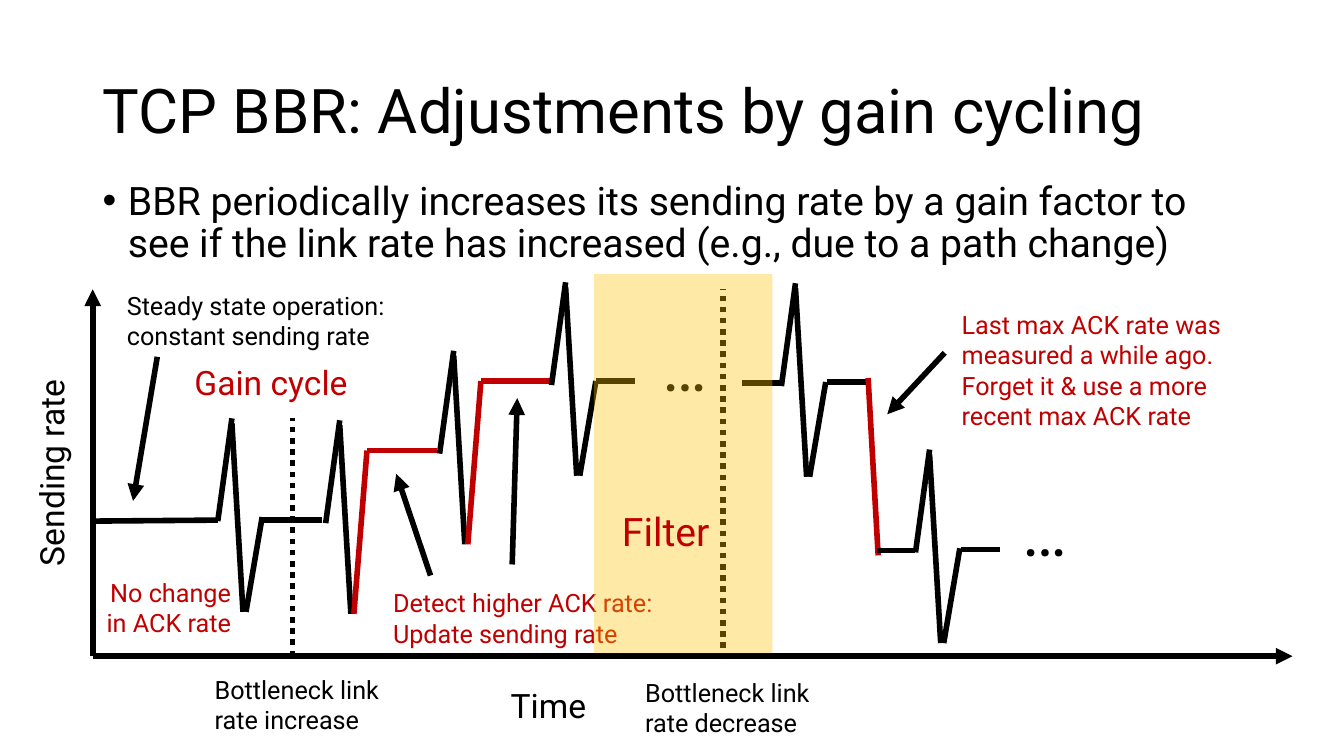
from dataclasses import dataclass

import pptx
import pptx.dml.color
import pptx.enum.dml
import pptx.enum.shapes
import pptx.enum.text
import pptx.oxml
import pptx.oxml.ns
import pptx.util

PX = 9144  # 100 px to the inch
FONT = "Roboto"
HEX = {"ink": "000000", "red": "C00000", "gold": "FFC000"}
ALIGN = pptx.enum.text.PP_ALIGN
ANCHOR = pptx.enum.text.MSO_ANCHOR


@dataclass
class Line:
    x1: int
    y1: int
    x2: int
    y2: int
    color: str = "ink"
    arrow: bool = False
    dots: bool = False


@dataclass
class Label:
    text: str
    x: int
    y: int
    w: int
    h: int
    size: int = 18
    color: str = "ink"
    align: ALIGN = ALIGN.LEFT
    turn: int = 0


@dataclass
class Spike:
    x: int
    y: int
    gain: bool = False  # the rate climbs to a higher level


def rgb(name: str) -> pptx.dml.color.RGBColor:
    return pptx.dml.color.RGBColor.from_string(HEX[name])


def add_xml(parent, tag: str, **attrs: str):
    node = pptx.oxml.parse_xml(f"<a:{tag} {pptx.oxml.ns.nsdecls('a')}/>")
    for key, value in attrs.items():
        node.set(key, value)
    parent.append(node)
    return node


def style(para, size: int, color: str, align: ALIGN = ALIGN.LEFT) -> None:
    para.alignment = align
    para.font.name = FONT
    para.font.size = pptx.util.Pt(size)
    para.font.color.rgb = rgb(color)


def draw_line(slide, item: Line) -> None:
    ends = (v * PX for v in (item.x1, item.y1, item.x2, item.y2))
    kind = pptx.enum.shapes.MSO_CONNECTOR.STRAIGHT
    line = slide.shapes.add_connector(kind, *ends)
    line.line.color.rgb = rgb(item.color)
    line.line.width = pptx.util.Pt(4)
    if item.dots:
        line.line.dash_style = pptx.enum.dml.MSO_LINE.ROUND_DOT
    if item.arrow:
        add_xml(line.line._get_or_add_ln(), "tailEnd", type="triangle")
    add_xml(line._element.spPr, "effectLst")


def draw_spike(slide, item: Spike) -> None:
    x, y = item.x, item.y
    draw_line(slide, Line(x, y, x + 14, y - 102))
    draw_line(slide, Line(x + 25, y + 90, x + 14, y - 97))
    if item.gain:
        draw_line(slide, Line(x + 28, y + 90, x + 41, y - 72, "red"))
        draw_line(slide, Line(x + 41, y - 72, x + 110, y - 72, "red"))
    else:
        draw_line(slide, Line(x + 28, y + 90, x + 44, y - 4))


def draw_label(slide, item: Label):
    box = slide.shapes.add_textbox(*(v * PX for v in (item.x, item.y, item.w, item.h)))
    box.rotation = item.turn
    box.text_frame.word_wrap = True
    box.text_frame.text = item.text
    for para in box.text_frame.paragraphs:
        style(para, item.size, item.color, item.align)
    return box


AXES = [
    Line(92, 651, 92, 287, arrow=True),
    Line(92, 651, 1282, 651, arrow=True),
]
SPIKES = [
    Spike(216, 517), Spike(323, 519, True), Spike(436, 450, True),
    Spike(547, 382), Spike(775, 383), Spike(908, 548),
]
LEVELS = [
    Line(92, 517, 216, 516), Line(261, 516, 319, 516),
    Line(591, 378, 630, 378), Line(736, 380, 775, 380),
    Line(820, 379, 859, 379), Line(871, 551, 861, 375, "red"),
    Line(870, 546, 908, 546), Line(953, 545, 992, 545),
]
ARROWS = [
    Line(156, 354, 132, 497, arrow=True),
    Line(427, 571, 393, 470, arrow=True),
    Line(508, 560, 513, 395, arrow=True),
    Line(937, 350, 880, 411, arrow=True),
]
EVENTS = [
    Line(290, 651, 290, 415, dots=True),
    Line(717, 654, 717, 287, dots=True),
]
LABELS = [
    Label("…", 647, 317, 98, 91, 48),
    Label("…", 1004, 481, 98, 91, 48),
    Label("Time", 441, 675, 206, 50, 24, align=ALIGN.CENTER),
    Label("Sending rate", -60, 436, 221, 50, 24, turn=270),
    Label("Steady state operation: constant sending rate", 116, 283, 297, 71),
    Label("Gain cycle", 183, 354, 239, 50, 24, "red"),
    Label("Detect higher ACK rate:\nUpdate sending rate", 380, 578, 283, 71, color="red"),
    Label("Last max ACK rate was measured a while ago. "
          "Forget it & use a more recent max ACK rate", 944, 302, 283, 131, color="red"),
    Label("No change\nin ACK rate", 82, 568, 157, 71, color="red", align=ALIGN.RIGHT),
    Label("Bottleneck link rate increase", 203, 664, 199, 71),
    Label("Bottleneck link rate decrease", 630, 667, 199, 71),
]
POINT = Label("BBR periodically increases its sending rate by a gain factor to see if "
              "the link rate has increased (e.g., due to a path change)",
              92, 175, 1150, 100, 28)
FILTER = Label("Filter", 607, 498, 153, 57, 28, "red")


def draw_title(slide) -> None:
    title = slide.shapes.title
    title.left, title.top = 92 * PX, 40 * PX
    title.width, title.height = 1150 * PX, 145 * PX
    title.text_frame.text = "TCP BBR: Adjustments by gain cycling"
    title.text_frame.vertical_anchor = ANCHOR.MIDDLE
    para = title.text_frame.paragraphs[0]
    para.line_spacing = 0.9
    style(para, 44, "ink")


def draw_point(slide) -> None:
    para = draw_label(slide, POINT).text_frame.paragraphs[0]
    para.line_spacing = 0.9
    props = para._p.get_or_add_pPr()
    props.set("marL", str(25 * PX))
    props.set("indent", str(-25 * PX))
    bullet = add_xml(props, "buChar", char="•")
    face = add_xml(props, "buFont", typeface="Arial")
    props.remove(bullet)
    props.remove(face)
    rest = props.find(pptx.oxml.ns.qn("a:defRPr"))
    for node in (face, bullet):
        rest.addprevious(node)


def draw_band(slide) -> None:
    kind = pptx.enum.shapes.MSO_SHAPE.RECTANGLE
    band = slide.shapes.add_shape(kind, *(v * PX for v in (589, 272, 177, 376)))
    band.shadow.inherit = False
    band.line.fill.background()
    band.fill.solid()
    band.fill.fore_color.rgb = rgb("gold")
    tint = band._element.spPr.find(".//" + pptx.oxml.ns.qn("a:srgbClr"))
    add_xml(tint, "alpha", val="35000")


def main() -> None:
    deck = pptx.Presentation()
    deck.slide_width, deck.slide_height = 1333 * PX, 750 * PX
    slide = deck.slides.add_slide(deck.slide_layouts[5])

    # Heading and main point
    draw_title(slide)
    draw_point(slide)

    # Sending rate over time
    for item in AXES + LEVELS:
        draw_line(slide, item)
    for item in SPIKES:
        draw_spike(slide, item)

    # Notes on the curve
    for item in ARROWS + EVENTS:
        draw_line(slide, item)
    for item in LABELS:
        draw_label(slide, item)

    # Filter window
    draw_band(slide)
    draw_label(slide, FILTER)
    deck.save("out.pptx")


if __name__ == "__main__":
    main()
